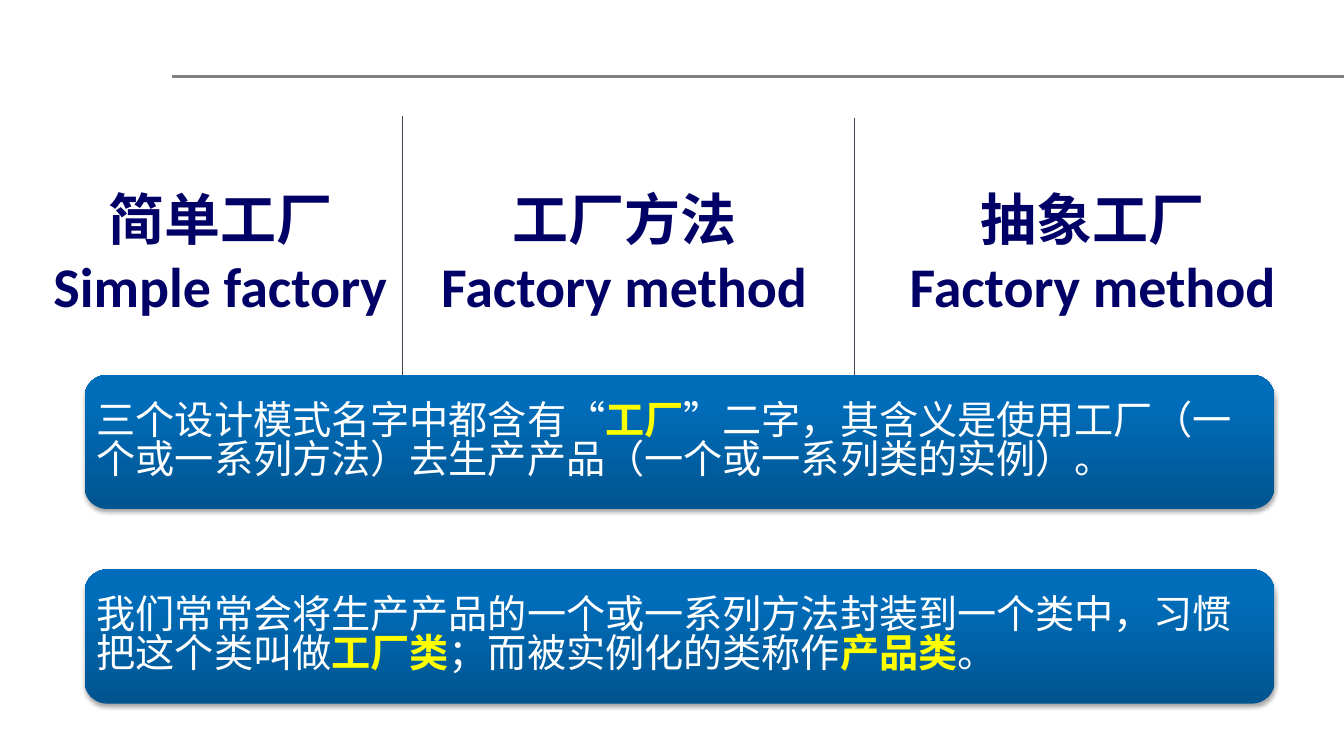
from lxml import etree
from pptx import Presentation
from pptx.dml.color import RGBColor
from pptx.enum.shapes import MSO_CONNECTOR, MSO_SHAPE
from pptx.enum.text import MSO_ANCHOR, PP_ALIGN
from pptx.oxml import parse_xml
from pptx.oxml.ns import nsdecls, qn
from pptx.util import Pt

STRAIGHT = MSO_CONNECTOR.STRAIGHT
ROUNDED = MSO_SHAPE.ROUNDED_RECTANGLE
TOP, MIDDLE = MSO_ANCHOR.TOP, MSO_ANCHOR.MIDDLE
LEFT, CENTER = PP_ALIGN.LEFT, PP_ALIGN.CENTER

COLORS = {
    "rule": "808080", "divider": "414455", "heading": "000066",
    "panel_dark": "00548F", "panel_light": "006DBA",
    "body": "FFFFFF", "key": "FFFF00",
}
HEADING_FONT = "Calibri"
BODY_FONT = "Noto Sans CJK SC"
SLIDE_WIDTH, SLIDE_HEIGHT = 960.48, 540

SHADOW = f"""<a:effectLst {nsdecls('a')}>
  <a:outerShdw blurRad="{Pt(3.1)}" dist="{Pt(1.8)}" dir="5400000" rotWithShape="0">
    <a:srgbClr val="000000"><a:alpha val="35000"/></a:srgbClr>
  </a:outerShdw>
</a:effectLst>"""


def color(name):
    return RGBColor.from_string(COLORS[name])


def add_span(para, text, font, size, fill, bold=False):
    span = para.add_run()
    span.text = text
    span.font.name = font
    span.font.size = Pt(size)
    span.font.bold = bold
    span.font.color.rgb = color(fill)
    east_asian = etree.SubElement(span.font._element, qn("a:ea"))
    east_asian.set("typeface", font)


class SlideBuilder:
    def __init__(self, page):
        self.page = page

    def line(self, x1, y1, x2, y2, fill, width):
        line = self.page.shapes.add_connector(STRAIGHT, Pt(x1), Pt(y1), Pt(x2), Pt(y2))
        line.line.color.rgb = color(fill)
        line.line.width = Pt(width)
        etree.SubElement(line._element.spPr, qn("a:effectLst"))

    def frame(self, box, anchor, align, inset_x, inset_y):
        frame = box.text_frame
        frame.word_wrap = True
        frame.vertical_anchor = anchor
        frame.margin_left = frame.margin_right = Pt(inset_x)
        frame.margin_top = frame.margin_bottom = Pt(inset_y)
        frame.paragraphs[0].alignment = align
        return frame

    def heading(self, left, chinese, english):
        box = self.page.shapes.add_textbox(Pt(left), Pt(128.2), Pt(317.5), Pt(104.4))
        frame = self.frame(box, TOP, CENTER, 7.2, 3.6)
        add_span(frame.paragraphs[0], chinese, HEADING_FONT, 40, "heading", bold=True)
        para = frame.add_paragraph()
        para.alignment = CENTER
        add_span(para, english, HEADING_FONT, 40, "heading", bold=True)

    def panel(self, top, spans):
        box = self.page.shapes.add_shape(ROUNDED, Pt(60.5), Pt(top), Pt(850.3), Pt(95.8))
        box.line.fill.background()
        box.fill.gradient()
        box.fill.gradient_angle = 90
        dark, light = box.fill.gradient_stops
        dark.color.rgb, dark.position = color("panel_dark"), 0
        light.color.rgb, light.position = color("panel_light"), 0.8
        box._element.spPr.append(parse_xml(SHADOW))
        # The rounded corners add their own inset to the text area
        corner = 0.29 * 95.8 / 6
        frame = self.frame(box, MIDDLE, LEFT, 8.64 - corner, 8.64 - corner)
        para = frame.paragraphs[0]
        para.line_spacing = 0.83
        for text, is_key in spans:
            add_span(para, text, BODY_FONT, 28, "key" if is_key else "body", bold=is_key)


def main():
    deck = Presentation()
    deck.slide_width, deck.slide_height = Pt(SLIDE_WIDTH), Pt(SLIDE_HEIGHT)
    builder = SlideBuilder(deck.slides.add_slide(deck.slide_layouts[6]))

    # Title rule
    builder.line(123, 54.7, SLIDE_WIDTH, 54.7, "rule", 2)

    # Three factory patterns with dividers between them
    builder.heading(-1.4, "简单工厂", "Simple factory")
    builder.heading(287.3, "工厂方法", "Factory method")
    builder.heading(622.1, "抽象工厂", "Factory method")
    for x, top in ((287.3, 82.8), (610.6, 84.2)):
        builder.line(x, 267.8, x, top, "divider", 0.25)

    # Explanations
    builder.panel(267.8, [
        ("三个设计模式名字中都含有“", False),
        ("工厂", True),
        ("”二字，其含义是使用工厂（一个或一系列方法）去生产产品（一个或一系列类的实例）。", False),
    ])
    builder.panel(406.8, [
        ("我们常常会将生产产品的一个或一系列方法封装到一个类中，习惯把这个类叫做", False),
        ("工厂类", True),
        ("；而被实例化的类称作", False),
        ("产品类", True),
        ("。", False),
    ])

    deck.save("out.pptx")


if __name__ == "__main__":
    main()
